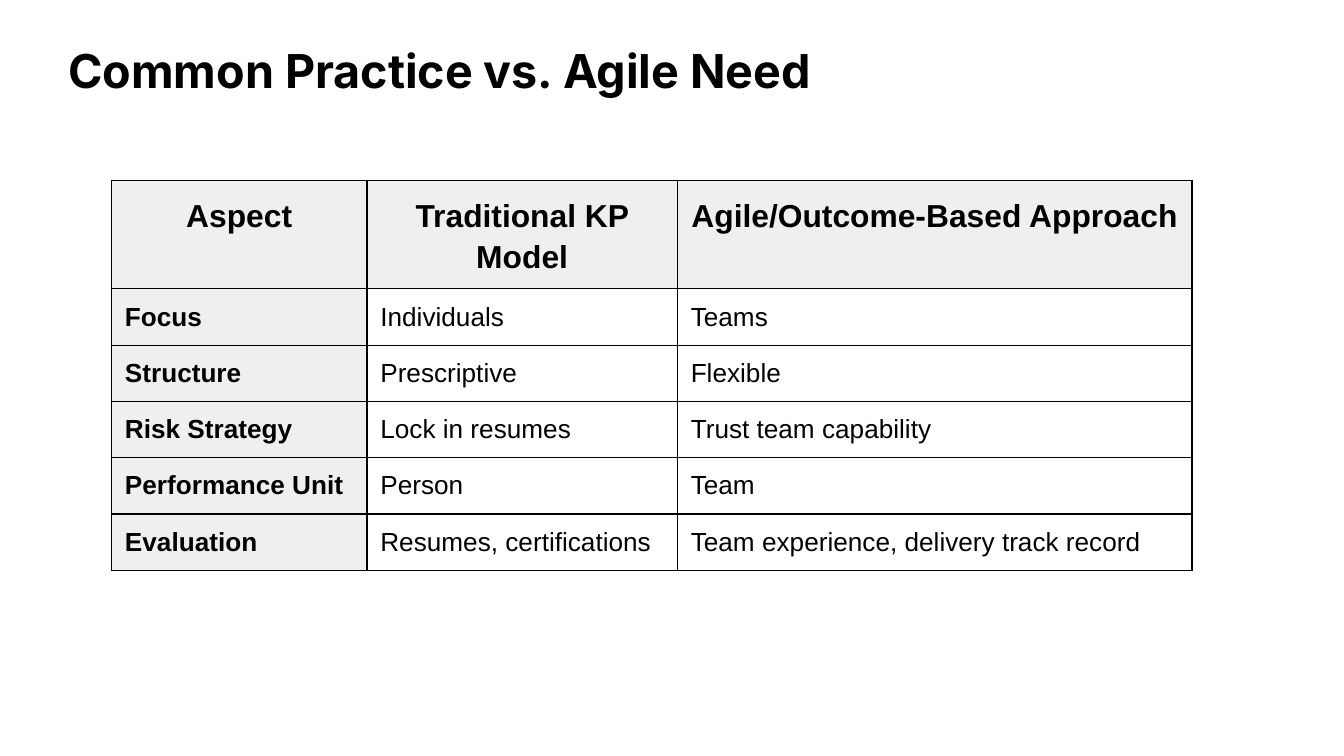
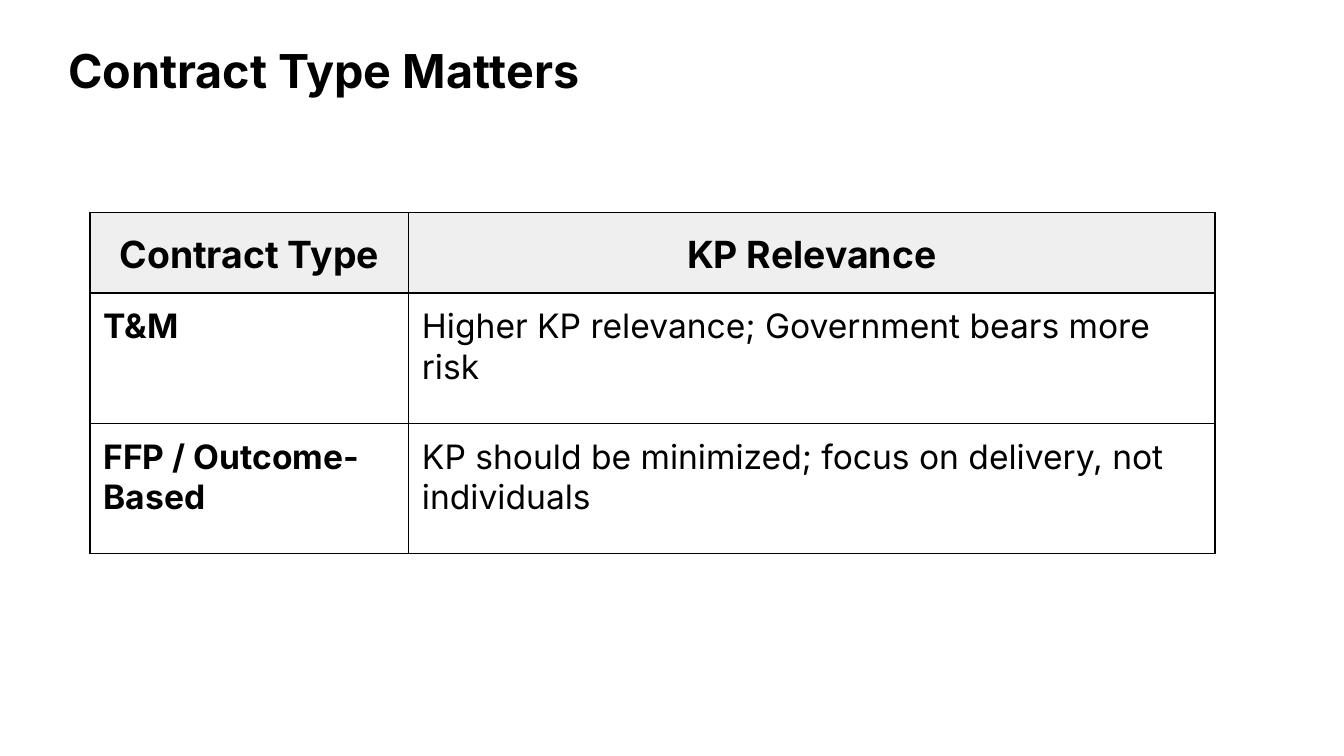
from dataclasses import dataclass

import pptx
import pptx.dml.color
import pptx.enum.text
import pptx.oxml
import pptx.oxml.ns
import pptx.util
from pptx.util import Inches

Align = pptx.enum.text.PP_ALIGN
Anchor = pptx.enum.text.MSO_ANCHOR


@dataclass(frozen=True)
class Theme:
    ink: str = "000000"
    paper: str = "FFFFFF"
    shade: str = "EFEFEF"
    title_font: str = "Inter"
    title_size: int = 25
    title_spacing: float = 1.2
    header_spacing: float = 1.15
    border_width: float = 0.75
    cell_margin: float = 0.1


@dataclass(frozen=True)
class Grid:
    left: float
    top: float
    columns: tuple[float, ...]
    header_height: float
    row_height: float
    font: str
    header_size: int
    body_size: int
    shade_labels: bool
    rows: tuple[tuple[str, ...], ...]


@dataclass(frozen=True)
class Page:
    title: str
    grid: Grid


THEME = Theme()

PAGES = (
    Page(
        "Common Practice vs. Agile Need",
        Grid(
            left=0.83, top=1.34, columns=(1.9, 2.31, 3.83),
            header_height=0.8, row_height=0.41,
            font="Arial", header_size=17, body_size=14, shade_labels=True,
            rows=(
                ("Aspect", "Traditional KP Model", "Agile/Outcome-Based Approach"),
                ("Focus", "Individuals", "Teams"),
                ("Structure", "Prescriptive", "Flexible"),
                ("Risk Strategy", "Lock in resumes", "Trust team capability"),
                ("Performance Unit", "Person", "Team"),
                ("Evaluation", "Resumes, certifications",
                 "Team experience, delivery track record"),
            ),
        ),
    ),
    Page(
        "Contract Type Matters",
        Grid(
            left=0.67, top=1.58, columns=(2.37, 6),
            header_height=0.6, row_height=0.97,
            font="Inter", header_size=20, body_size=18, shade_labels=False,
            rows=(
                ("Contract Type", "KP Relevance"),
                ("T&M", "Higher KP relevance; Government bears more risk"),
                ("FFP / Outcome-Based",
                 "KP should be minimized; focus on delivery, not individuals"),
            ),
        ),
    ),
)


def rgb(value: str) -> pptx.dml.color.RGBColor:
    return pptx.dml.color.RGBColor.from_string(value)


def add_span(para, text: str, font: str, size: int, bold: bool) -> None:
    span = para.add_run()
    span.text = text
    span.font.name = font
    span.font.size = pptx.util.Pt(size)
    span.font.bold = bold
    span.font.color.rgb = rgb(THEME.ink)


def set_title(page, text: str) -> None:
    box = page.shapes.title
    box.left, box.top = Inches(0.41), Inches(0.29)
    box.width, box.height = Inches(7.58), Inches(0.38)
    frame = box.text_frame
    frame.word_wrap = True
    frame.auto_size = pptx.enum.text.MSO_AUTO_SIZE.NONE
    frame.vertical_anchor = Anchor.MIDDLE
    frame.margin_left = frame.margin_right = Inches(0.1)
    frame.margin_top = frame.margin_bottom = Inches(0.05)
    para = frame.paragraphs[0]
    para.alignment = Align.LEFT
    para.line_spacing = THEME.title_spacing
    add_span(para, text, THEME.title_font, THEME.title_size, True)


def set_borders(cell) -> None:
    properties = cell._tc.get_or_add_tcPr()
    width = pptx.util.Pt(THEME.border_width)
    for side in ("lnL", "lnR", "lnT", "lnB"):
        properties.append(pptx.oxml.parse_xml(
            f'<a:{side} {pptx.oxml.ns.nsdecls("a")} w="{width}">'
            f'<a:solidFill><a:srgbClr val="{THEME.ink}"/></a:solidFill>'
            f'</a:{side}>'
        ))


def fill_cell(cell, text: str, grid: Grid, is_header: bool, is_label: bool) -> None:
    set_borders(cell)
    if is_header or (is_label and grid.shade_labels):
        cell.fill.solid()
        cell.fill.fore_color.rgb = rgb(THEME.shade)
    else:
        cell.fill.background()
    margin = Inches(THEME.cell_margin)
    cell.margin_left = cell.margin_right = margin
    cell.margin_top = cell.margin_bottom = margin
    cell.vertical_anchor = Anchor.TOP
    para = cell.text_frame.paragraphs[0]
    para.alignment = Align.CENTER if is_header else Align.LEFT
    if is_header:
        para.line_spacing = THEME.header_spacing
    size = grid.header_size if is_header else grid.body_size
    add_span(para, text, grid.font, size, is_header or is_label)


def add_grid(page, grid: Grid) -> None:
    heights = [grid.header_height] + [grid.row_height] * (len(grid.rows) - 1)
    table = page.shapes.add_table(
        len(grid.rows), len(grid.columns), Inches(grid.left), Inches(grid.top),
        Inches(sum(grid.columns)), Inches(sum(heights)),
    ).table
    table.first_row = table.horz_banding = False
    for column, width in zip(table.columns, grid.columns):
        column.width = Inches(width)
    for row, height in zip(table.rows, heights):
        row.height = Inches(height)
    for row_index, texts in enumerate(grid.rows):
        for column_index, text in enumerate(texts):
            fill_cell(table.cell(row_index, column_index), text, grid,
                      row_index == 0, column_index == 0)


def main() -> None:
    deck = pptx.Presentation()
    deck.slide_width = Inches(10)
    deck.slide_height = Inches(10 * 9 / 16)
    title_only = deck.slide_layouts.get_by_name("Title Only")
    for content in PAGES:
        page = deck.slides.add_slide(title_only)
        page.background.fill.solid()
        page.background.fill.fore_color.rgb = rgb(THEME.paper)
        set_title(page, content.title)
        add_grid(page, content.grid)
    deck.save("out.pptx")


if __name__ == "__main__":
    main()
